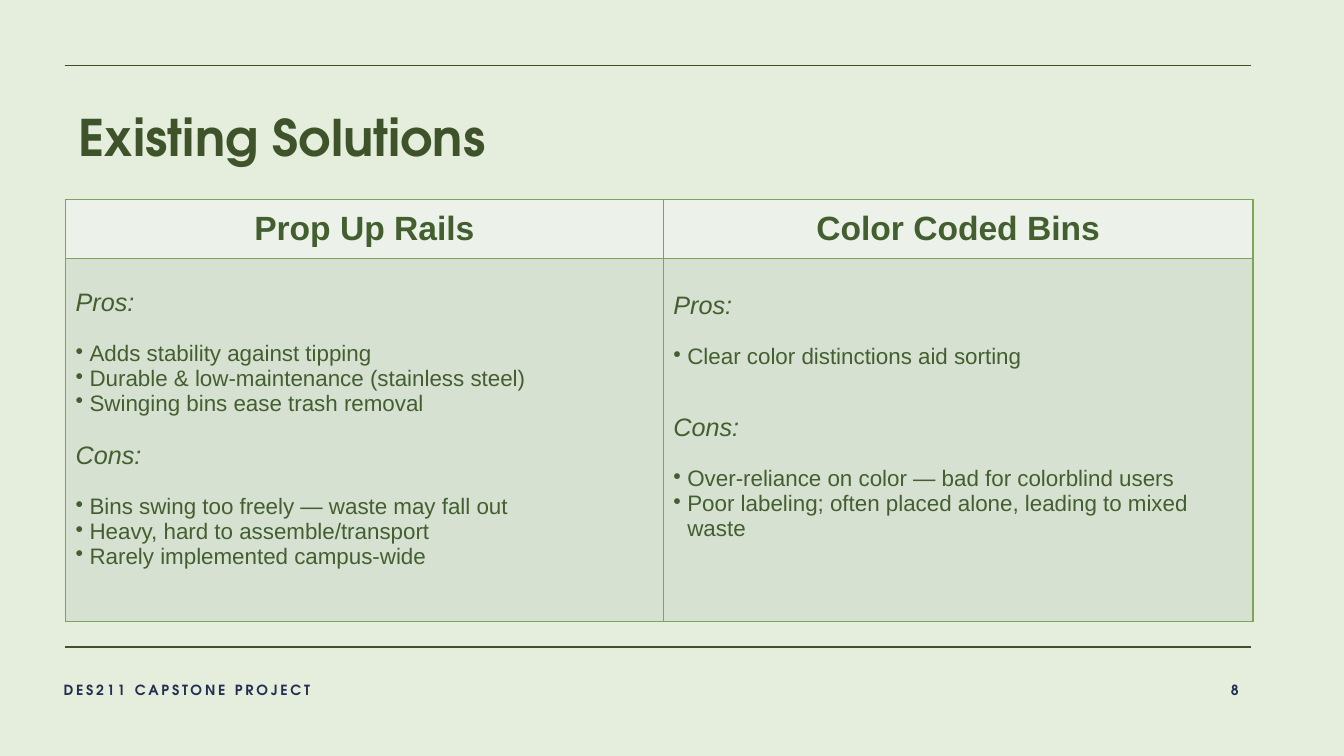
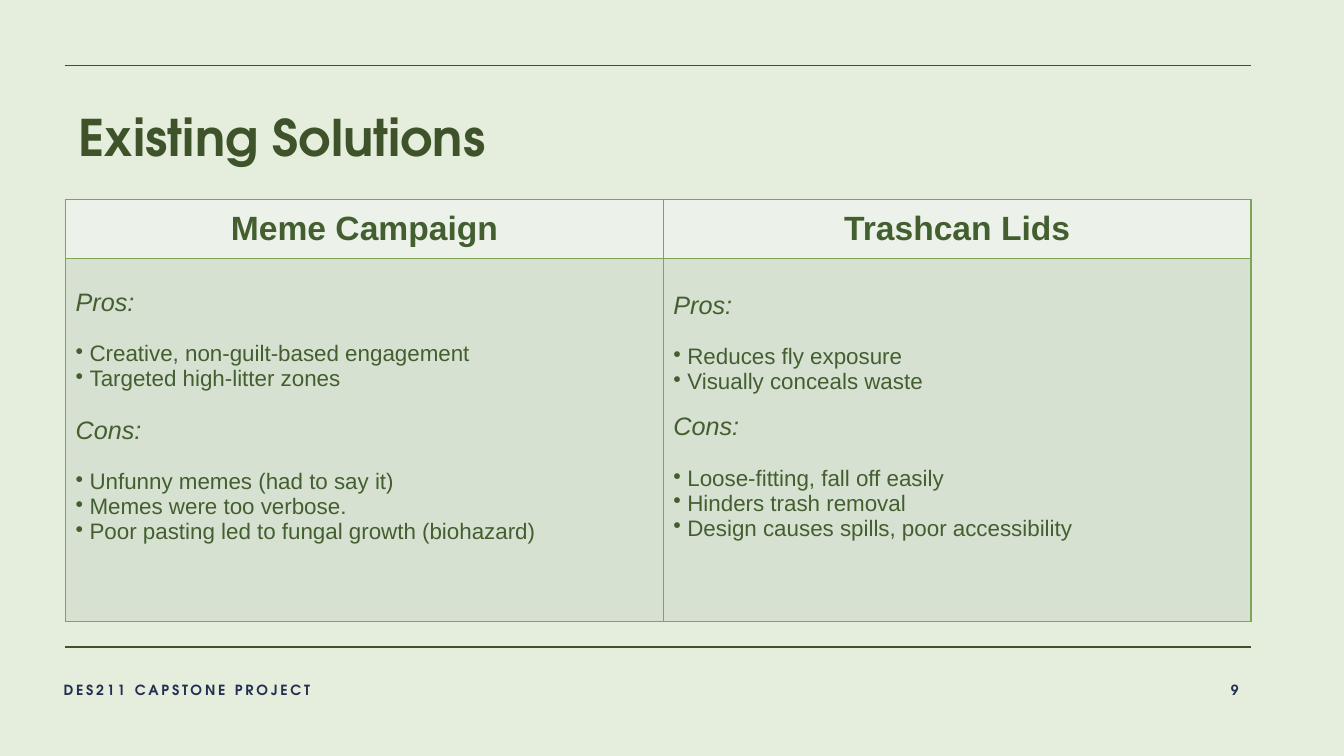
from dataclasses import dataclass
from typing import Any

from lxml import etree
from pptx import Presentation
from pptx import util as u
from pptx.dml import color
from pptx.enum import shapes, text
from pptx.oxml import ns

# Shared colours and fonts
PAGE, RULE, FOOTER = "E5EDDD", "3E532A", "222F51"
HEAD_FILL, BODY_FILL, BORDER, INK = "ECF1E9", "D7E1D1", "7CA655", "435F30"
DISPLAY, BODY = "TeX Gyre Adventor", "Arial"

# Shared measures in points
RULE_LEFT, RULE_RIGHT = 46.1, 893.5
RULE_TOPS = (46.8, 462.2)
TABLE_LEFT, TABLE_TOP = 46.8, 142.6
ROW_HEIGHTS = (41.8, 259.5)
LIST_GAP, BULLET_INDENT = 17.9, 10

# Shared text formats
TITLE_FONT = {"name": DISPLAY, "size": u.Pt(36), "bold": True}
FOOTER_FONT = {"name": DISPLAY, "size": u.Pt(10), "bold": True}
HEAD_FONT = {"name": BODY, "size": u.Pt(24), "bold": True}
LABEL_FONT = {"name": BODY, "size": u.Pt(18), "bold": False, "italic": True}
ITEM_FONT = {"name": BODY, "size": u.Pt(16), "bold": False}


@dataclass(frozen=True)
class Area:
    left: float
    top: float
    width: float
    height: float


@dataclass(frozen=True)
class Solution:
    name: str
    pros: tuple[str, ...]
    cons: tuple[str, ...]
    column_width: float
    top_margin: float
    cons_gap: float


@dataclass(frozen=True)
class Comparison:
    number: int
    solutions: tuple[Solution, ...]


TITLE_AREA = Area(46.8, 46.8, 846.7, 77)
FOOTER_AREA = Area(36, 487.4, 211, 16.6)
NUMBER_AREA = Area(821.5, 487.4, 72.7, 16.6)

COMPARISONS = (
    Comparison(8, (
        Solution(
            "Prop Up Rails",
            ("Adds stability against tipping",
             "Durable & low-maintenance (stainless steel)",
             "Swinging bins ease trash removal"),
            ("Bins swing too freely — waste may fall out",
             "Heavy, hard to assemble/transport",
             "Rarely implemented campus-wide"),
            427, 21.5, 17.9),
        Solution(
            "Color Coded Bins",
            ("Clear color distinctions aid sorting",),
            ("Over-reliance on color — bad for colorblind users",
             "Poor labeling; often placed alone, leading to mixed waste"),
            421.2, 23.7, 31.3),
    )),
    Comparison(9, (
        Solution(
            "Meme Campaign",
            ("Creative, non-guilt-based engagement",
             "Targeted high-litter zones"),
            ("Unfunny memes (had to say it)",
             "Memes were too verbose.",
             "Poor pasting led to fungal growth (biohazard)"),
            427, 21.5, 17.9),
        Solution(
            "Trashcan Lids",
            ("Reduces fly exposure", "Visually conceals waste"),
            ("Loose-fitting, fall off easily",
             "Hinders trash removal",
             "Design causes spills, poor accessibility"),
            419.8, 23.7, 13.4),
    )),
)


# Formatting helpers
def rgb(value: str) -> color.RGBColor:
    return color.RGBColor.from_string(value)


def apply(target: Any, values: dict[str, Any]) -> None:
    for name, value in values.items():
        setattr(target, name, value)


def add_span(para: Any, wording: str, font: dict[str, Any], ink: str) -> Any:
    span = para.add_run()
    span.text = wording
    apply(span.font, font)
    span.font.color.rgb = rgb(ink)
    return span


def make_outline(tag: str, ink: str, width: float) -> Any:
    outline = etree.Element(ns.qn(tag), w=str(u.Pt(width)))
    fill = etree.SubElement(outline, ns.qn("a:solidFill"))
    etree.SubElement(fill, ns.qn("a:srgbClr"), val=ink)
    return outline


def add_bullet(para: Any) -> None:
    settings = para._p.get_or_add_pPr()
    indent = u.Pt(BULLET_INDENT)
    settings.set("marL", str(indent))
    settings.set("indent", str(-indent))
    etree.SubElement(settings, ns.qn("a:buChar"), char="•")


# Page frame
def add_rule(page: Any, top: float) -> None:
    rule = page.shapes.add_connector(
        shapes.MSO_CONNECTOR.STRAIGHT,
        u.Pt(RULE_LEFT), u.Pt(top), u.Pt(RULE_RIGHT), u.Pt(top))
    rule.line.color.rgb = rgb(RULE)
    rule.line.width = u.Pt(1)
    etree.SubElement(rule._element.spPr, ns.qn("a:effectLst"))


def add_label(page: Any, area: Area, wording: str, font: dict[str, Any], ink: str,
              align: Any = text.PP_ALIGN.LEFT) -> Any:
    box = page.shapes.add_textbox(
        u.Pt(area.left), u.Pt(area.top), u.Pt(area.width), u.Pt(area.height))
    apply(box.text_frame, {
        "word_wrap": True, "vertical_anchor": text.MSO_ANCHOR.BOTTOM,
        "margin_left": u.Pt(9.4), "margin_right": u.Pt(9.4),
        "margin_top": u.Pt(5), "margin_bottom": u.Pt(5)})
    para = box.text_frame.paragraphs[0]
    para.alignment = align
    return add_span(para, wording, font, ink)


def add_frame(page: Any, number: int) -> None:
    for top in RULE_TOPS:
        add_rule(page, top)
    title = add_label(page, TITLE_AREA, "Existing Solutions", TITLE_FONT, RULE)
    title._r.get_or_add_rPr().insert(0, make_outline("a:ln", RULE, 2.5))
    footers = (
        add_label(page, NUMBER_AREA, str(number), FOOTER_FONT, FOOTER,
                  text.PP_ALIGN.RIGHT),
        add_label(page, FOOTER_AREA, "DES211 CAPSTONE PROJECT", FOOTER_FONT, FOOTER),
    )
    for span in footers:
        span._r.get_or_add_rPr().set("spc", "200")


# Comparison table
def style_cell(cell: Any, fill: str) -> None:
    settings = cell._tc.get_or_add_tcPr()
    for side in "LRTB":
        settings.append(make_outline(f"a:ln{side}", BORDER, 1))
    cell.fill.solid()
    cell.fill.fore_color.rgb = rgb(fill)


def fill_head(cell: Any, name: str) -> None:
    style_cell(cell, HEAD_FILL)
    cell.vertical_anchor = text.MSO_ANCHOR.MIDDLE
    para = cell.text_frame.paragraphs[0]
    para.alignment = text.PP_ALIGN.CENTER
    add_span(para, name, HEAD_FONT, INK)


def add_list(para: Any, frame: Any, label: str, items: tuple[str, ...]) -> None:
    add_span(para, label, LABEL_FONT, INK)
    for index, item in enumerate(items):
        entry = frame.add_paragraph()
        entry.space_before = u.Pt(0 if index else LIST_GAP)
        add_bullet(entry)
        add_span(entry, item, ITEM_FONT, INK)


def fill_body(cell: Any, solution: Solution) -> None:
    style_cell(cell, BODY_FILL)
    cell.margin_top = u.Pt(solution.top_margin)
    frame = cell.text_frame
    add_list(frame.paragraphs[0], frame, "Pros:", solution.pros)
    cons = frame.add_paragraph()
    cons.space_before = u.Pt(solution.cons_gap)
    add_list(cons, frame, "Cons:", solution.cons)


def add_comparison(page: Any, solutions: tuple[Solution, ...]) -> None:
    width = sum(solution.column_width for solution in solutions)
    table = page.shapes.add_table(
        len(ROW_HEIGHTS), len(solutions), u.Pt(TABLE_LEFT), u.Pt(TABLE_TOP),
        u.Pt(width), u.Pt(sum(ROW_HEIGHTS))).table
    table.horz_banding = False
    for row, height in zip(table.rows, ROW_HEIGHTS):
        row.height = u.Pt(height)
    for index, solution in enumerate(solutions):
        table.columns[index].width = u.Pt(solution.column_width)
        fill_head(table.cell(0, index), solution.name)
        fill_body(table.cell(1, index), solution)


def main() -> None:
    deck = Presentation()
    apply(deck, {"slide_width": u.Pt(960), "slide_height": u.Pt(540)})
    backdrop = deck.slide_master.background.fill
    backdrop.solid()
    backdrop.fore_color.rgb = rgb(PAGE)
    for comparison in COMPARISONS:
        page = deck.slides.add_slide(deck.slide_layouts[6])
        add_frame(page, comparison.number)
        add_comparison(page, comparison.solutions)
    deck.save("out.pptx")


if __name__ == "__main__":
    main()
